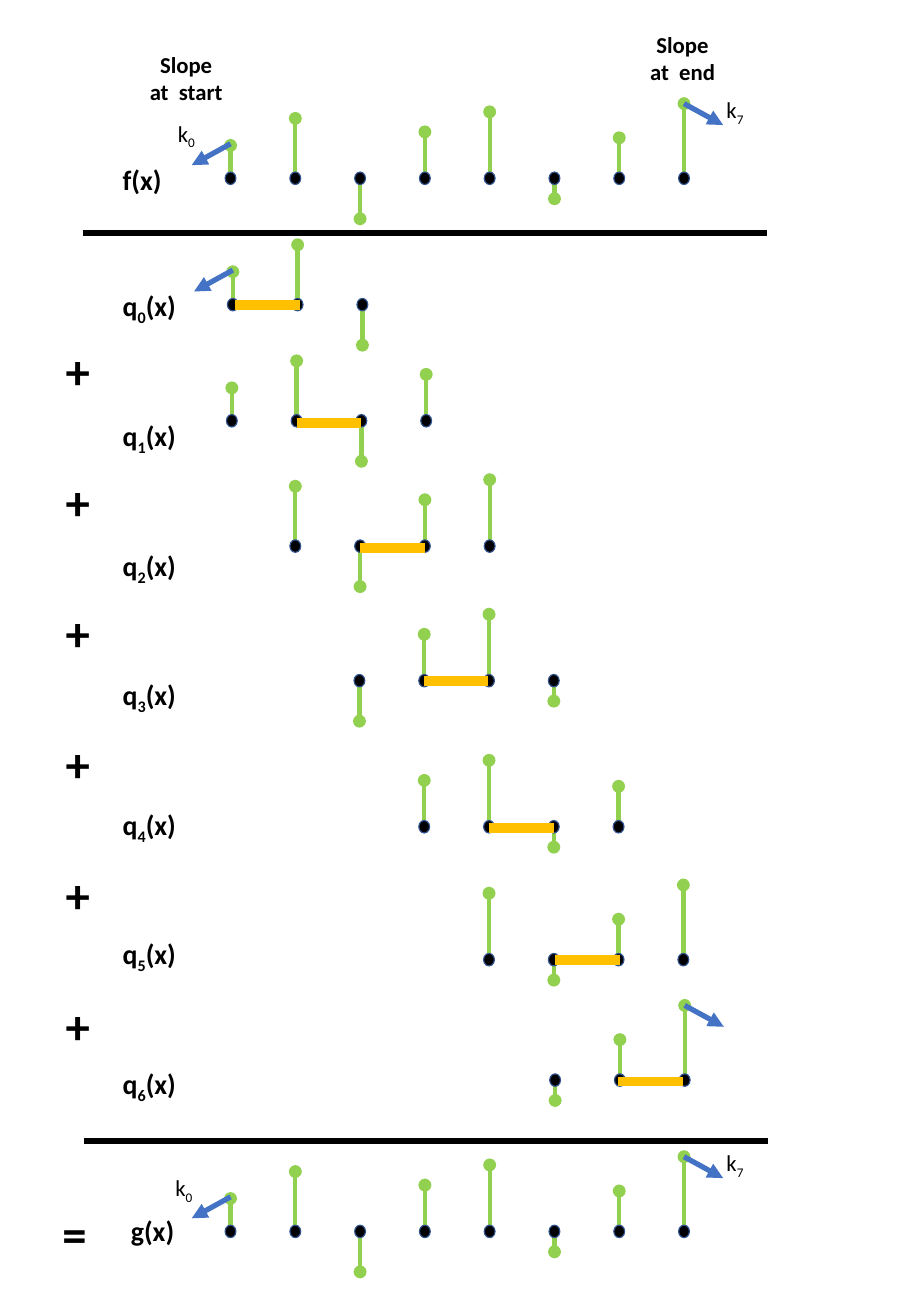
from dataclasses import dataclass
from typing import Optional

from lxml.etree import SubElement
from pptx import Presentation
from pptx.dml.color import RGBColor
from pptx.enum.shapes import MSO_CONNECTOR, MSO_SHAPE
from pptx.enum.text import MSO_AUTO_SIZE, PP_ALIGN
from pptx.oxml.ns import qn
from pptx.util import Cm, Pt

BLACK = RGBColor(0x00, 0x00, 0x00)
GREEN = RGBColor(0x92, 0xD0, 0x50)
BLUE = RGBColor(0x44, 0x72, 0xC4)
OUTLINE = RGBColor(0x32, 0x54, 0x91)
ORANGE = RGBColor(0xFF, 0xC0, 0x00)

FIRST_X, STEP_X = 7.01, 1.97
SAMPLES = (1.0, 1.82, -1.23, 1.41, 2.02, -0.62, 1.23, 2.27)
LAST = len(SAMPLES) - 1
DOT_WIDTH, DOT_HEIGHT = 0.33, 0.38


@dataclass
class Row:
    baseline: float
    shift: float = 0
    first: int = 0
    last: int = LAST


@dataclass
class Segment:
    row: Row
    bar_shift: float
    bar_drop: float


@dataclass
class Label:
    left: float
    top: float
    width: float
    height: float
    size: float
    text: str
    subscript: str = ""
    ending: str = ""
    bold: bool = True
    alignment: Optional[PP_ALIGN] = None


FUNCTION_ROW = Row(5.42)
SUM_ROW = Row(37.43)
SEGMENTS = (
    Segment(Row(9.26, 0.07, 0, 2), 0.13, 0.01),
    Segment(Row(12.79, 0.04, 0, 3), 0.04, 0.06),
    Segment(Row(16.6, 0, 1, 4), 0, 0.06),
    Segment(Row(20.69, -0.02, 2, 5), -0.04, 0.01),
    Segment(Row(25.13, -0.02, 3, 6), -0.01, 0.04),
    Segment(Row(29.17, -0.02, 4, 7), 0.01, 0.01),
    Segment(Row(32.83, 0.02, 5, 7), -0.03, 0.04),
)

presentation = Presentation()
presentation.slide_width, presentation.slide_height = Cm(27.64), Cm(40)
slide = presentation.slides.add_slide(presentation.slide_layouts[6])


def sample_x(index: int) -> float:
    return FIRST_X + index * STEP_X


def add_line(x1: float, y1: float, x2: float, y2: float, color: RGBColor,
             width: float, head: str = "", tail: str = "") -> None:
    connector = slide.shapes.add_connector(
        MSO_CONNECTOR.STRAIGHT, Cm(x1), Cm(y1), Cm(x2), Cm(y2))
    connector.line.color.rgb = color
    connector.line.width = Pt(width)
    line = connector.line._get_or_add_ln()
    for tag, kind in (("a:headEnd", head), ("a:tailEnd", tail)):
        if kind:
            SubElement(line, qn(tag), type=kind)
    SubElement(connector._element.spPr, qn("a:effectLst"))


def add_dot(x: float, y: float) -> None:
    shape = slide.shapes.add_shape(
        MSO_SHAPE.OVAL, Cm(x - DOT_WIDTH / 2), Cm(y - DOT_HEIGHT / 2),
        Cm(DOT_WIDTH), Cm(DOT_HEIGHT))
    shape.shadow.inherit = False
    shape.fill.solid()
    shape.fill.fore_color.rgb = BLACK
    shape.line.color.rgb = OUTLINE
    shape.line.width = Pt(1)


def add_label(label: Label) -> None:
    box = slide.shapes.add_textbox(
        Cm(label.left), Cm(label.top), Cm(label.width), Cm(label.height))
    frame = box.text_frame
    frame.word_wrap = False
    frame.auto_size = MSO_AUTO_SIZE.SHAPE_TO_FIT_TEXT
    frame.text = label.text
    for paragraph in frame.paragraphs:
        paragraph.alignment = label.alignment
        paragraph.font.name = "Calibri"
        paragraph.font.size = Pt(label.size)
        paragraph.font.bold = label.bold
        paragraph.font.color.rgb = BLACK
    if label.subscript:
        run = frame.paragraphs[0].add_run()
        run.text = label.subscript
        run._r.get_or_add_rPr().set("baseline", "-25000")
    if label.ending:
        frame.paragraphs[0].add_run().text = label.ending


def add_row(row: Row) -> None:
    indexes = range(row.first, row.last + 1)
    for index in indexes:
        x = sample_x(index) + row.shift
        add_line(x, row.baseline - SAMPLES[index], x, row.baseline, GREEN, 3.75, head="oval")
    for index in indexes:
        add_dot(sample_x(index) + row.shift, row.baseline)


def add_slope(row: Row, index: int) -> None:
    at_start = index == 0
    x = sample_x(index) + row.shift
    y = row.baseline - SAMPLES[index] - (0.05 if at_start else 0)
    add_line(x, y, x + (-1.18 if at_start else 1.19), y + 0.65, BLUE, 4.5, tail="triangle")


def add_slope_label(left: float, top: float, index: int) -> None:
    add_label(Label(left, top, 1.07, 1.09, 19.6, "k", str(index), bold=False))


for row, start_left, start_top, end_top in (
        (FUNCTION_ROW, 5.16, 3.51, 2.79), (SUM_ROW, 5.08, 35.56, 34.8)):
    add_row(row)
    for index in (0, LAST):
        add_slope(row, index)
    add_slope_label(start_left, start_top, 0)
    add_slope_label(21.84, end_top, LAST)

for number, segment in enumerate(SEGMENTS):
    add_row(segment.row)
    bar_x = sample_x(number) + segment.bar_shift
    bar_y = segment.row.baseline + segment.bar_drop
    add_line(bar_x, bar_y, bar_x + STEP_X, bar_y, ORANGE, 8.25)
    add_label(Label(3.48, 8.66 + number * 3.94, 2.18, 1.27, 24, "q", str(number), "(x)"))
    if number:
        add_label(Label(1.75, 10.24 + (number - 1) * 3.98, 1.24, 2.06, 42, "+"))
add_slope(SEGMENTS[0].row, 0)
add_slope(SEGMENTS[-1].row, LAST)

for left, y in ((2.51, 7.09), (2.54, 34.67)):
    add_line(left, y, left + 20.8, y, BLACK, 5)

for label in (
    Label(3.48, 4.83, 1.7, 1.27, 24, "f(x)"),
    Label(3.73, 36.75, 1.85, 1.27, 24, "g(x)"),
    Label(1.65, 36.47, 1.24, 2.06, 42, "="),
    Label(4.29, 1.42, 2.74, 1.93, 19.6, "Slope\nat  start", alignment=PP_ALIGN.CENTER),
    Label(19.51, 0.81, 2.49, 1.93, 19.6, "Slope\nat  end", alignment=PP_ALIGN.CENTER),
):
    add_label(label)

presentation.save("out.pptx")
